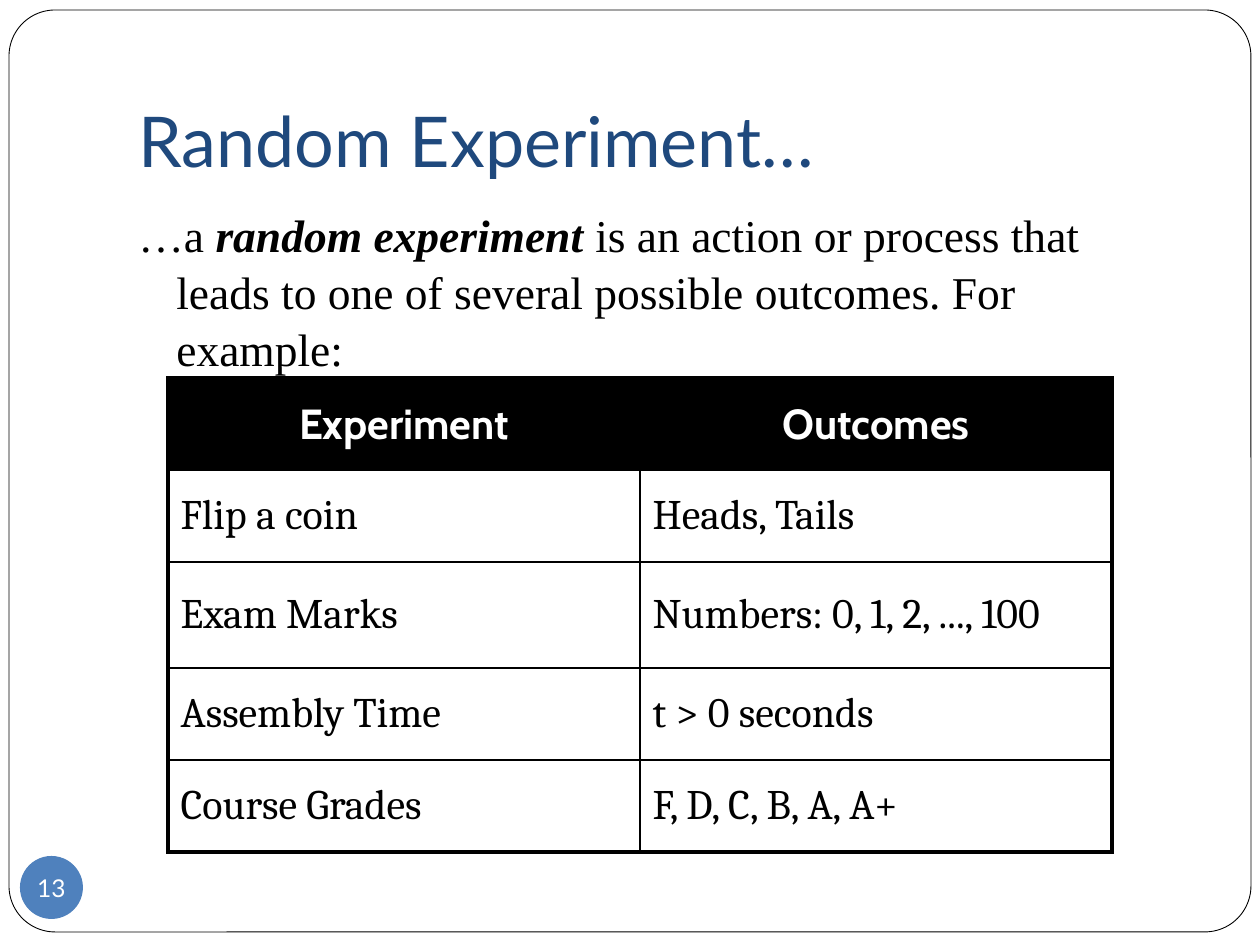
from dataclasses import dataclass

from lxml.etree import SubElement
from pptx import Presentation
from pptx.dml.color import RGBColor
from pptx.enum.shapes import MSO_SHAPE as Preset
from pptx.enum.text import MSO_ANCHOR as Anchor, MSO_AUTO_SIZE as AutoSize, PP_ALIGN as Align
from pptx.oxml.ns import qn
from pptx.slide import Slide
from pptx.util import Emu, Pt

SCALE = 914400 / 126


def px(length):
    return Emu(round(length * SCALE))


def color(value):
    return RGBColor.from_string(value)


def add_text(paragraph, text, *, font, size, ink, bold=False, italic=False):
    run = paragraph.add_run()
    run.text = text
    run.font.name, run.font.size = font, Pt(size)
    run.font.bold, run.font.italic = bold, italic
    run.font.color.rgb = color(ink)


def add_border(cell, order, side, width, ink):
    properties = cell._tc.get_or_add_tcPr()
    line = SubElement(properties, qn(f"a:ln{side}"), w=str(Pt(width)))
    fill = SubElement(line, qn("a:solidFill"))
    SubElement(fill, qn("a:srgbClr"), val=ink)
    properties.insert(order, line)


@dataclass
class SlideBuilder:
    """Draws the elements of one slide in a shared style."""

    slide: Slide
    ink: str = "000000"
    paper: str = "FFFFFF"
    navy: str = "1F497D"
    blue: str = "4F81BD"
    heading_font: str = "Lato"
    body_font: str = "Times New Roman"
    header_font: str = "Cabin"
    cell_font: str = "Cambria"
    thin: float = 1
    thick: float = 2.25

    def shape(self, preset, box, fill):
        shape = self.slide.shapes.add_shape(preset, *map(px, box))
        shape.shadow.inherit = False
        shape.fill.solid()
        shape.fill.fore_color.rgb = color(fill)
        shape.line.fill.background()
        return shape

    def frame(self, box):
        border = self.shape(Preset.ROUNDED_RECTANGLE, box, self.paper)
        border.adjustments[0] = 0.05
        border.line.color.rgb = color(self.ink)
        border.line.width = Pt(0.5)
        border.element.getparent().insert(2, border.element)

    def title(self, box, text):
        heading = self.slide.shapes.title
        heading.left, heading.top, heading.width, heading.height = map(px, box)
        content = heading.text_frame
        content.auto_size = AutoSize.NONE
        content.vertical_anchor = Anchor.BOTTOM
        content.margin_bottom = px(13)
        content.paragraphs[0].alignment = Align.LEFT
        add_text(content.paragraphs[0], text, font=self.heading_font, size=40, ink=self.navy)

    def page_number(self, box, text):
        content = self.shape(Preset.OVAL, box, self.blue).text_frame
        content.margin_left = content.margin_right = 0
        content.margin_top = content.margin_bottom = 0
        content.word_wrap = False
        content.vertical_anchor = Anchor.MIDDLE
        content.paragraphs[0].alignment = Align.CENTER
        add_text(content.paragraphs[0], text, font=self.heading_font, size=14, ink=self.paper)

    def definition(self, box, before, term, after):
        content = self.slide.shapes.add_textbox(*map(px, box)).text_frame
        content.word_wrap = True
        paragraph = content.paragraphs[0]
        paragraph.space_before = Pt(5.8)
        paragraph.line_spacing = 1.04
        indent = px(38)
        properties = paragraph._p.get_or_add_pPr()
        properties.set("marL", str(indent))
        properties.set("indent", str(-indent))
        for text, stressed in ((before, False), (term, True), (after, False)):
            add_text(paragraph, text, font=self.body_font, size=26, ink=self.ink,
                     bold=stressed, italic=stressed)

    def table(self, left, top, widths, heights, rows):
        last_row, last_column = len(heights) - 1, len(widths) - 1
        grid = self.slide.shapes.add_table(
            len(heights), len(widths), px(left), px(top), px(sum(widths)), px(sum(heights))).table
        grid.first_row = grid.horz_banding = False
        for column, width in zip(grid.columns, widths):
            column.width = px(width)
        for row, height in zip(grid.rows, heights):
            row.height = px(height)
        for r, row in enumerate(rows):
            for c, text in enumerate(row):
                edges = {"L": c == 0, "R": c == last_column, "T": r == 0, "B": r == last_row}
                self.cell(grid.cell(r, c), text, edges, header=r == 0)

    def cell(self, cell, text, edges, header):
        for order, (side, outer) in enumerate(edges.items()):
            add_border(cell, order, side, self.thick if outer else self.thin, self.ink)
        if header:
            cell.fill.solid()
            cell.fill.fore_color.rgb = color(self.ink)
        else:
            cell.fill.background()
        cell.vertical_anchor = Anchor.MIDDLE
        paragraph = cell.text_frame.paragraphs[0]
        paragraph.alignment = Align.CENTER if header else Align.LEFT
        paragraph.space_before = Pt(4.8)
        add_text(paragraph, text, font=self.header_font if header else self.cell_font, size=24,
                 ink=self.paper if header else self.ink, bold=header)


def main():
    deck = Presentation()
    deck.slide_width, deck.slide_height = px(1260), px(945)
    builder = SlideBuilder(deck.slides.add_slide(deck.slide_layouts[5]))
    builder.frame((9, 10, 1242, 922))
    builder.title((126, 38, 1071, 157), "Random Experiment…")
    builder.page_number((20, 856, 63, 63), "13")
    builder.definition(
        (126, 199, 1071, 630), "…a ", "random experiment",
        " is an action or process that leads to one of several possible outcomes. For example:")
    builder.table(168, 378, [472, 472], [92, 92, 106, 92, 92], [
        ("Experiment", "Outcomes"),
        ("Flip a coin", "Heads, Tails"),
        ("Exam Marks", "Numbers: 0, 1, 2, ..., 100"),
        ("Assembly Time", "t > 0 seconds"),
        ("Course Grades", "F, D, C, B, A, A+"),
    ])
    deck.save("out.pptx")


if __name__ == "__main__":
    main()
